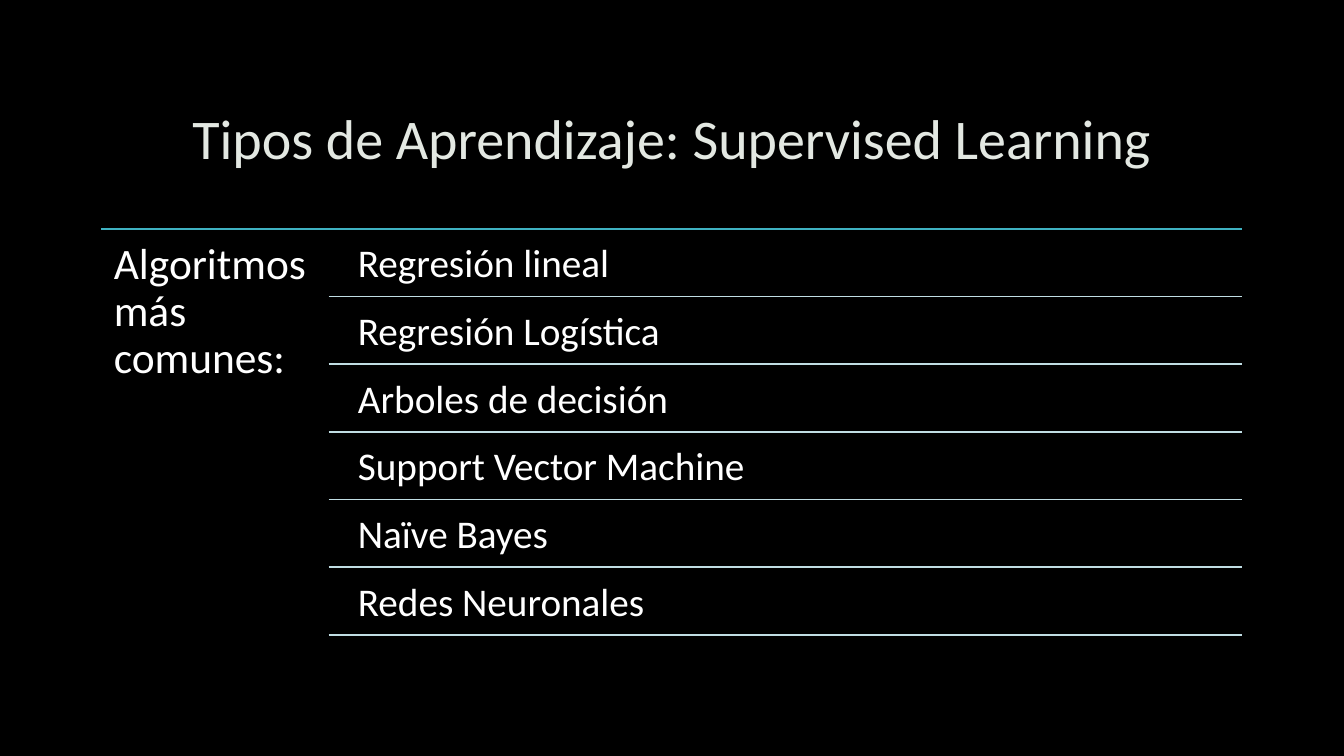
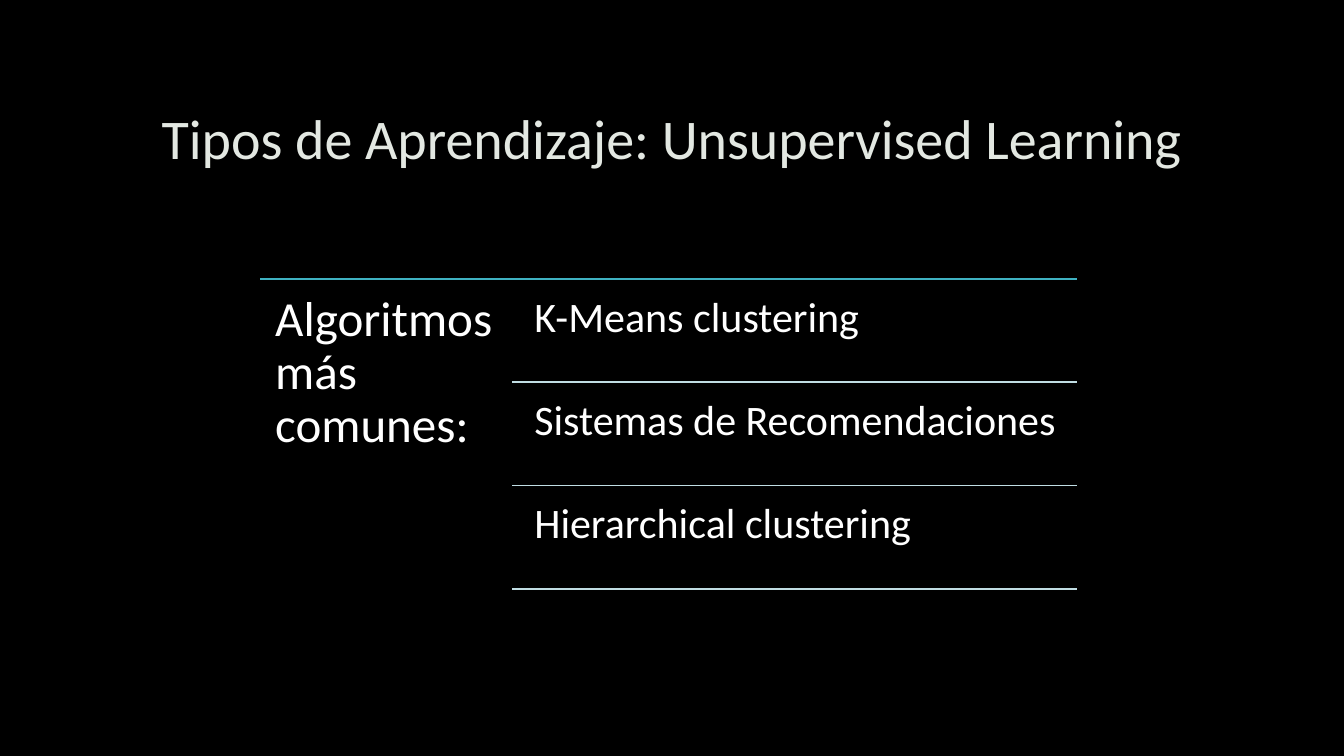
from lxml import etree
from pptx import Presentation
from pptx import util as u
from pptx.dml.color import RGBColor
from pptx.enum import shapes, text
from pptx.oxml.ns import qn

FONT = "Calibri"
BLACK, WHITE = "000000", "FFFFFF"
TITLE, TEAL, PALE = "E3E8E2", "3FB2C2", "C0DDE3"
TITLE_BOX = (1, 0.67, 11.32, 1.38)
HEADING = "Algoritmos más comunes:"


def paint(color, value):
    """Set a colour format from a hex string."""
    color.rgb = RGBColor.from_string(value)


def add_text(parent, box, content, size, color=WHITE, inset=0.1, spacing=0.9,
             align=text.PP_ALIGN.LEFT, anchor=text.MSO_ANCHOR.TOP):
    """Add a wrapped text box with one formatted paragraph."""
    tf = parent.add_textbox(*map(u.Inches, box)).text_frame
    tf.word_wrap = True
    tf.vertical_anchor = anchor
    tf.margin_left = tf.margin_right = u.Inches(inset)
    tf.margin_top = tf.margin_bottom = u.Inches(min(inset, 0.05) if spacing == 1 else inset)
    p = tf.paragraphs[0]
    p.alignment = align
    p.line_spacing = spacing
    r = p.add_run()
    r.text = content
    r.font.name = FONT
    r.font.size = u.Pt(size)
    paint(r.font.color, color)


def add_rule(parent, left, right, y, color):
    """Add a horizontal rule without shadow."""
    sp = parent.add_connector(shapes.MSO_CONNECTOR.STRAIGHT,
                              *map(u.Inches, (left, y, right, y)))
    sp.line.width = u.Pt(1.25)
    paint(sp.line.color, color)
    etree.SubElement(sp._element.spPr, qn("a:effectLst"))


def add_ruled_list(s, box, items, heading_width, indent, gap, heading_size,
                   heading_inset, item_size):
    """Fill a box with a heading on the left and evenly ruled items on the right."""
    left, top, width, height = box
    right = left + width
    items_left = left + heading_width
    text_left = items_left + indent
    pitch = height / len(items)
    group = s.shapes.add_group_shape().shapes
    add_rule(group, left, right, top, TEAL)
    add_text(group, (left, top, heading_width, height), HEADING, heading_size,
             inset=heading_inset)
    for i, item in enumerate(items):
        y = top + i * pitch
        add_text(group, (text_left, y + gap, right - text_left, pitch - gap),
                 item, item_size, inset=0.12)
        add_rule(group, items_left, right, y + pitch, PALE)


def add_slide(prs, title):
    """Add a black slide with its centred title."""
    s = prs.slides.add_slide(prs.slide_layouts[6])
    s.background.fill.solid()
    paint(s.background.fill.fore_color, BLACK)
    add_text(s.shapes, TITLE_BOX, title, 40, TITLE, spacing=1,
             align=text.PP_ALIGN.CENTER, anchor=text.MSO_ANCHOR.MIDDLE)
    return s


def main():
    """Build and save the presentation."""
    prs = Presentation()
    prs.slide_width, prs.slide_height = u.Inches(13.33), u.Inches(7.5)

    s = add_slide(prs, "Tipos de Aprendizaje: Supervised Learning")
    add_ruled_list(s, (1, 2.27, 11.32, 4.03),
                   ["Regresión lineal", "Regresión Logística", "Arboles de decisión",
                    "Support Vector Machine", "Naïve Bayes", "Redes Neuronales"],
                   heading_width=2.26, indent=0.17, gap=0.03,
                   heading_size=31, heading_inset=0.13, item_size=28)

    s = add_slide(prs, "Tipos de Aprendizaje: Unsupervised Learning")
    add_ruled_list(s, (2.58, 2.77, 8.1, 3.07),
                   ["K-Means clustering", "Sistemas de Recomendaciones",
                    "Hierarchical clustering"],
                   heading_width=2.5, indent=0.1, gap=0.05,
                   heading_size=35, heading_inset=0.15, item_size=30)

    prs.save("out.pptx")


if __name__ == "__main__":
    main()
